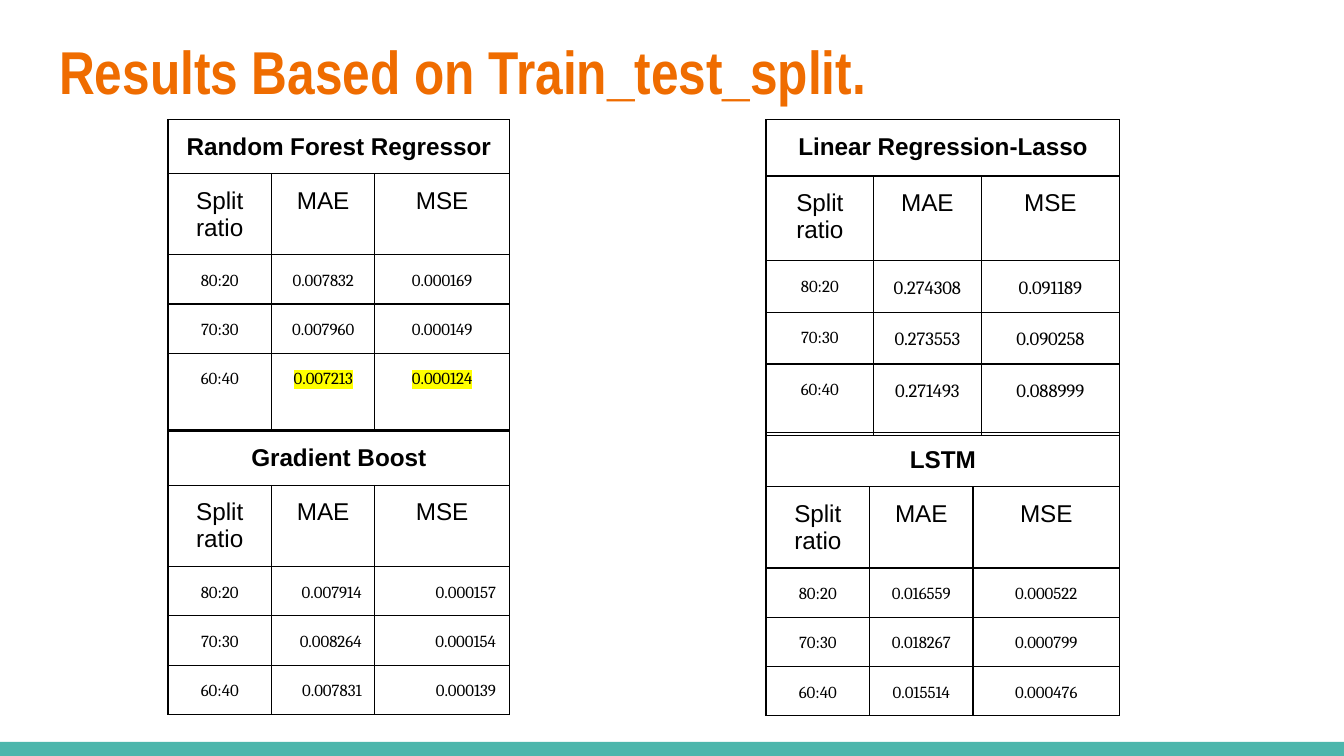
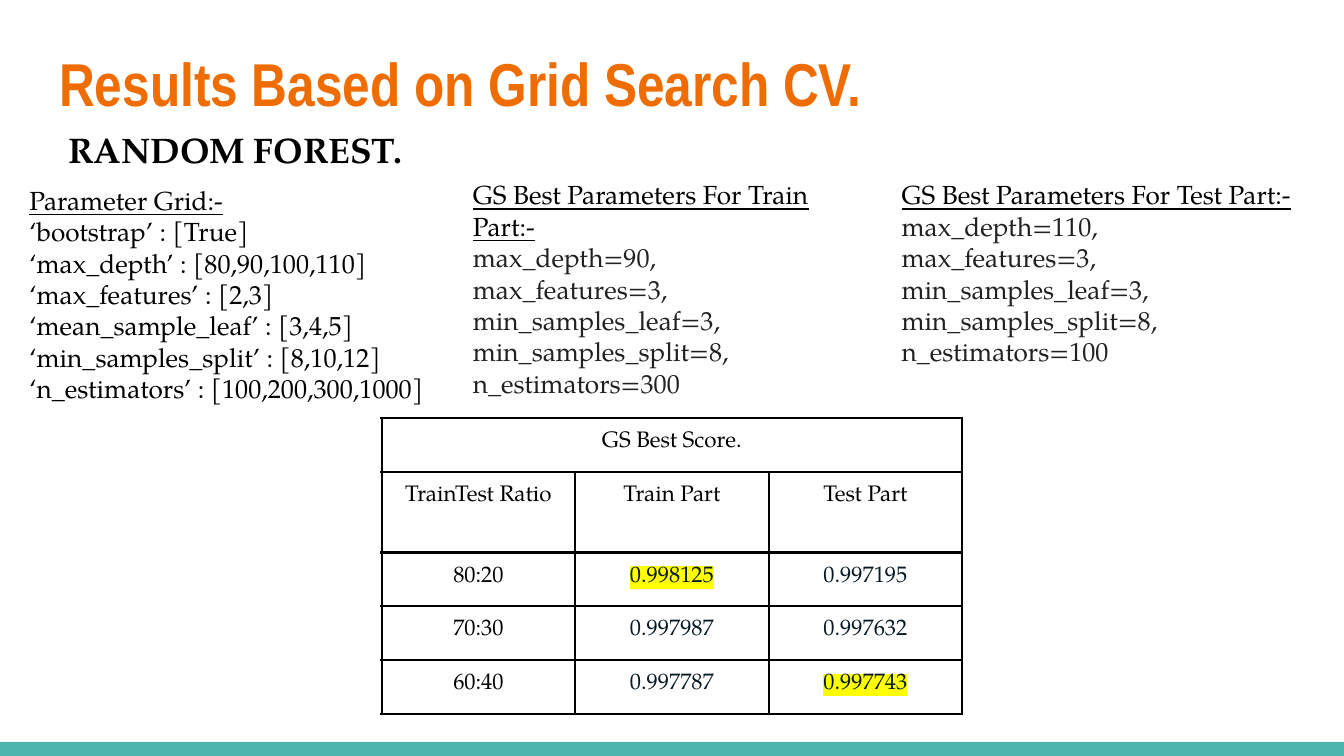
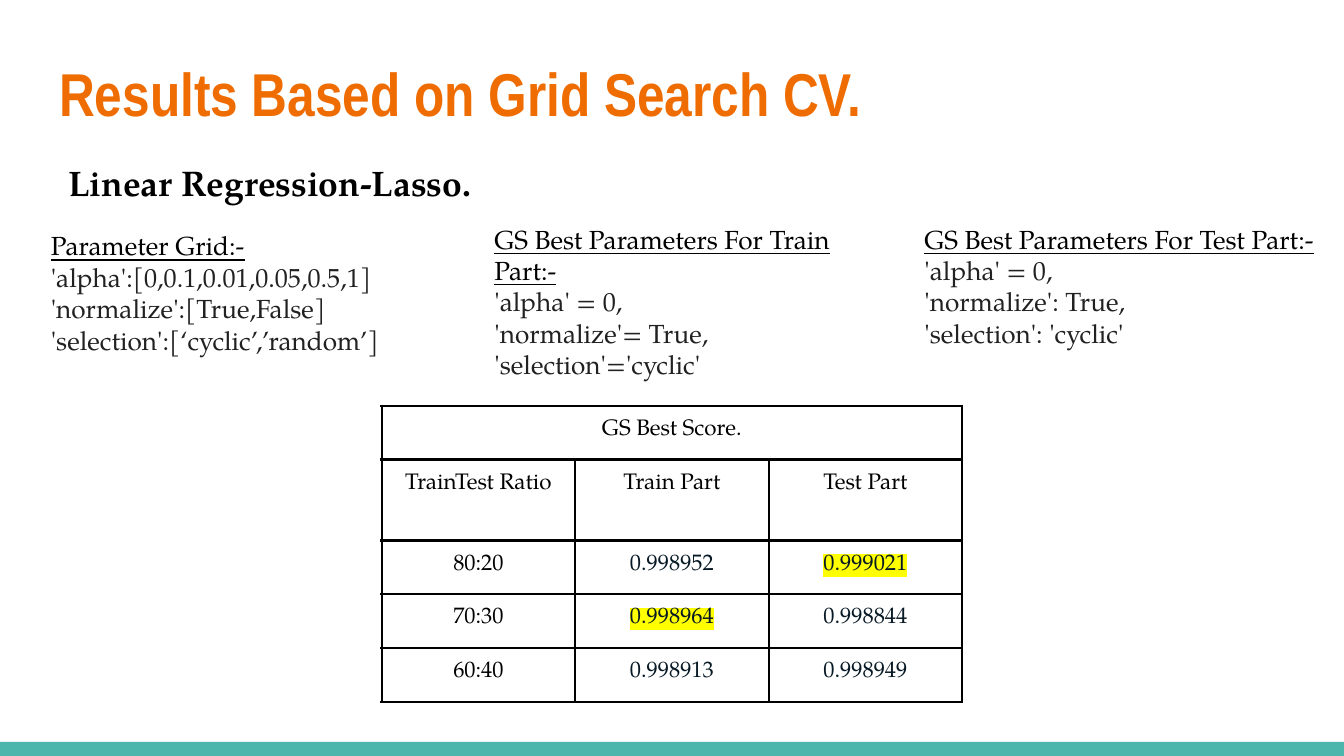
from pptx import Presentation
from pptx.dml.color import RGBColor
from pptx.enum.shapes import MSO_SHAPE
from pptx.enum.text import MSO_ANCHOR, MSO_AUTO_SIZE, PP_ALIGN
from pptx.oxml.ns import qn
from pptx.util import Inches, Pt
from lxml.etree import SubElement

# Shared look
ORANGE = RGBColor(0xEF, 0x6C, 0x00)
TEAL = RGBColor(0x4D, 0xB6, 0xAC)
BLACK = RGBColor(0x00, 0x00, 0x00)
CHARCOAL = RGBColor(0x21, 0x21, 0x21)
INK = RGBColor(0x07, 0x19, 0x24)
YELLOW = RGBColor(0xFF, 0xFF, 0x00)
SERIF = "TeX Gyre Pagella"

TITLE = {"name": "Arial Narrow", "size": Pt(32.4), "bold": True, "color": ORANGE}
MODEL = {"name": "Arial", "size": Pt(13), "bold": True, "color": BLACK}
COLUMN_HEAD = {**MODEL, "bold": False}
RESULT = {"name": "Cambria", "size": Pt(9), "color": BLACK}
SUBTITLE = {"name": SERIF, "size": Pt(19), "bold": True, "color": BLACK}
LIST_HEAD = {"name": SERIF, "size": Pt(14), "underline": True, "color": BLACK}
LIST_ITEM = {**LIST_HEAD, "underline": False}
SCORE_HEAD = {"name": SERIF, "size": Pt(12), "color": BLACK}
SCORE = {**SCORE_HEAD, "color": INK}


def write(frame, lines, align=PP_ALIGN.LEFT, spacing=None, marked=False):
    """Fill a text frame with one paragraph per (text, format) pair."""
    frame.word_wrap = True
    for number, (text, look) in enumerate(lines):
        para = frame.add_paragraph() if number else frame.paragraphs[0]
        para.alignment = align
        para.line_spacing = spacing
        span = para.add_run()
        span.text = text
        for name, value in look.items():
            if name == "color":
                span.font.color.rgb = value
            else:
                setattr(span.font, name, value)
        if marked:
            fill = span.font._element.find(qn("a:solidFill"))
            highlight = SubElement(span.font._element, qn("a:highlight"))
            SubElement(highlight, qn("a:srgbClr"), val=str(YELLOW))
            fill.addnext(highlight)


def add_grid(page, left, top, widths, heights, rows, looks, line, best=(),
             value_align=PP_ALIGN.CENTER, spacing=None):
    """Add a bordered table; looks are for heading, columns, ratios, values."""
    table = page.shapes.add_table(len(heights), len(widths), Inches(left), Inches(top),
                                  Inches(sum(widths)), Inches(sum(heights))).table
    table.first_row = table.horz_banding = False
    for column, width in zip(table.columns, widths):
        column.width = Inches(width)
    for row, height in zip(table.rows, heights):
        row.height = Inches(height)
    table.cell(0, 0).merge(table.cell(0, len(widths) - 1))
    for r, texts in enumerate(rows):
        for c in range(len(widths)):
            cell = table.cell(r, c)
            for side in ("left", "right", "top", "bottom"):
                setattr(cell, f"margin_{side}", Inches(0.1))
            cell.vertical_anchor = MSO_ANCHOR.TOP
            properties = cell._tc.get_or_add_tcPr()
            for edge in ("a:lnL", "a:lnR", "a:lnT", "a:lnB"):
                border = SubElement(properties, qn(edge), w=str(Pt(line)))
                SubElement(SubElement(border, qn("a:solidFill")), qn("a:srgbClr"), val=str(BLACK))
            cell.fill.background()
            if c < len(texts):
                is_value = r > 1 and c > 0
                look = looks[3 if is_value else min(r, 2)]
                write(cell.text_frame, [(texts[c], look)],
                      value_align if is_value else PP_ALIGN.CENTER,
                      spacing if r > 1 else None, texts[c] in best)


# Widescreen deck, with the footer band on the master
deck = Presentation()
deck.slide_width, deck.slide_height = Inches(10), Inches(10) * 9 // 16
layout = deck.slide_layouts[5]
pages = []
for text, top, height in [("Results Based on Train_test_split.", 0.15, 0.63),
                          ("Results Based on Grid Search CV.", 0.24, 0.77),
                          ("Results Based on Grid Search CV.", 0.32, 0.77)]:
    page = deck.slides.add_slide(layout)
    title = page.shapes.title
    title.left, title.top = Inches(0.34), Inches(top)
    title.width, title.height = Inches(9.32), Inches(height)
    frame = title.text_frame
    frame.vertical_anchor = MSO_ANCHOR.TOP
    frame.auto_size = MSO_AUTO_SIZE.NONE
    for side in ("left", "right", "top", "bottom"):
        setattr(frame, f"margin_{side}", Inches(0.1))
    write(frame, [(text, TITLE)])
    pages.append(page)

band = pages[0].shapes.add_shape(MSO_SHAPE.RECTANGLE, 0, Inches(5.52), Inches(10), Inches(0.11))
band.shadow.inherit = False
band.fill.solid()
band.fill.fore_color.rgb = TEAL
band.line.fill.background()
deck.slide_master.shapes._spTree.append(band._element)

# Slide 1: errors of four models by split ratio
RATIOS = ["80:20", "70:30", "60:40"]
models = [
    ("Random Forest Regressor", 1.25, 0.89, [0.77, 0.77, 1], [0.4, 0.6, 0.34, 0.34, 0.57],
     ["0.007832", "0.007960", "0.007213"], ["0.000169", "0.000149", "0.000124"],
     {"best": ("0.007213", "0.000124")}, 9),
    ("Gradient Boost", 1.25, 3.21, [0.77, 0.77, 1], [0.4, 0.6, 0.34, 0.34, 0.34],
     ["0.007914", "0.008264", "0.007831"], ["0.000157", "0.000154", "0.000139"],
     {"value_align": PP_ALIGN.RIGHT}, 9),
    ("Linear Regression-Lasso", 5.7, 0.89, [0.8, 0.8, 1.03], [0.42, 0.63, 0.35, 0.35, 0.53],
     ["0.274308", "0.273553", "0.271493"], ["0.091189", "0.090258", "0.088999"], {}, 10),
    ("LSTM", 5.7, 3.22, [0.77, 0.77, 1.09], [0.33, 0.6, 0.34, 0.34, 0.34],
     ["0.016559", "0.018267", "0.015514"], ["0.000522", "0.000799", "0.000476"], {}, 9),
]
for name, left, top, widths, heights, mae, mse, options, size in models:
    rows = [[name], ["Split ratio", "MAE", "MSE"], *zip(RATIOS, mae, mse)]
    looks = [MODEL, COLUMN_HEAD, RESULT, {**RESULT, "size": Pt(size)}]
    add_grid(pages[0], left, top, widths, heights, rows, looks, 0.75, spacing=1.15, **options)

# Slides 2 and 3: grid search parameters and scores
TRAIN, TEST = "GS Best Parameters For Train Part:-", "GS Best Parameters For Test Part:-"
searches = [
    {"subtitle": ("RANDOM FOREST.", 0.41, 0.85, 2.81, 0.52),
     "lists": [
         ("Parameter Grid:-", 0.12, 1.27, 3.33, 1.85, BLACK,
          ["‘bootstrap’ : [True]", "‘max_depth’ : [80,90,100,110]", "‘max_features’ : [2,3]",
           "‘mean_sample_leaf’ : [3,4,5]", "‘min_samples_split’ : [8,10,12]",
           "‘n_estimators’ : [100,200,300,1000]"]),
         (TRAIN, 3.42, 1.23, 3.19, 1.85, CHARCOAL,
          ["max_depth=90,", "max_features=3, ", "min_samples_leaf=3, ",
           "min_samples_split=8, ", "n_estimators=300"]),
         (TEST, 6.61, 1.23, 3.19, 1.85, CHARCOAL,
          ["max_depth=110,", "max_features=3, ", "min_samples_leaf=3, ",
           "min_samples_split=8, ", "n_estimators=100"])],
     "top": 3.11,
     "train": ["0.998125", "0.997987", "0.997787"],
     "test": ["0.997195", "0.997632", "0.997743"],
     "best": ("0.998125", "0.997743")},
    {"subtitle": ("Linear Regression-Lasso.", 0.41, 1.1, 3.45, 0.52),
     "lists": [
         ("Parameter Grid:-", 0.28, 1.61, 3.33, 1.14, CHARCOAL,
          ["'alpha':[0,0.1,0.01,0.05,0.5,1]", "'normalize':[True,False]",
           "'selection':[‘cyclic’,’random’]"]),
         (TRAIN, 3.58, 1.56, 3.19, 1.38, CHARCOAL,
          ["'alpha' = 0,", "'normalize'= True, ", "'selection'='cyclic'"]),
         (TEST, 6.78, 1.56, 3.19, 1.38, CHARCOAL,
          ["'alpha' = 0,", "'normalize': True, ", "'selection': 'cyclic'"])],
     "top": 3.02,
     "train": ["0.998952", "0.998964", "0.998913"],
     "test": ["0.999021", "0.998844", "0.998949"],
     "best": ("0.999021", "0.998964")},
]
for page, search in zip(pages[1:], searches):
    name, *place = search["subtitle"]
    blocks = [(place, [(name, SUBTITLE)])]
    for heading, left, top, width, height, color, items in search["lists"]:
        lines = [(heading, LIST_HEAD)] + [(item, {**LIST_ITEM, "color": color}) for item in items]
        blocks.append(((left, top, width, height), lines))
    for place, lines in blocks:
        box = page.shapes.add_textbox(*map(Inches, place))
        for side in ("left", "right", "top", "bottom"):
            setattr(box.text_frame, f"margin_{side}", Inches(0.1))
        write(box.text_frame, lines)
        box.text_frame.auto_size = MSO_AUTO_SIZE.SHAPE_TO_FIT_TEXT

    rows = [["GS Best Score."], ["TrainTest Ratio", "Train Part", "Test Part"],
            *zip(RATIOS, search["train"], search["test"])]
    add_grid(page, 2.84, search["top"], [1.44] * 3, [0.4, 0.6, 0.4, 0.4, 0.4], rows,
             [SCORE_HEAD, SCORE_HEAD, SCORE_HEAD, SCORE], 1.5, search["best"])

deck.save("out.pptx")
